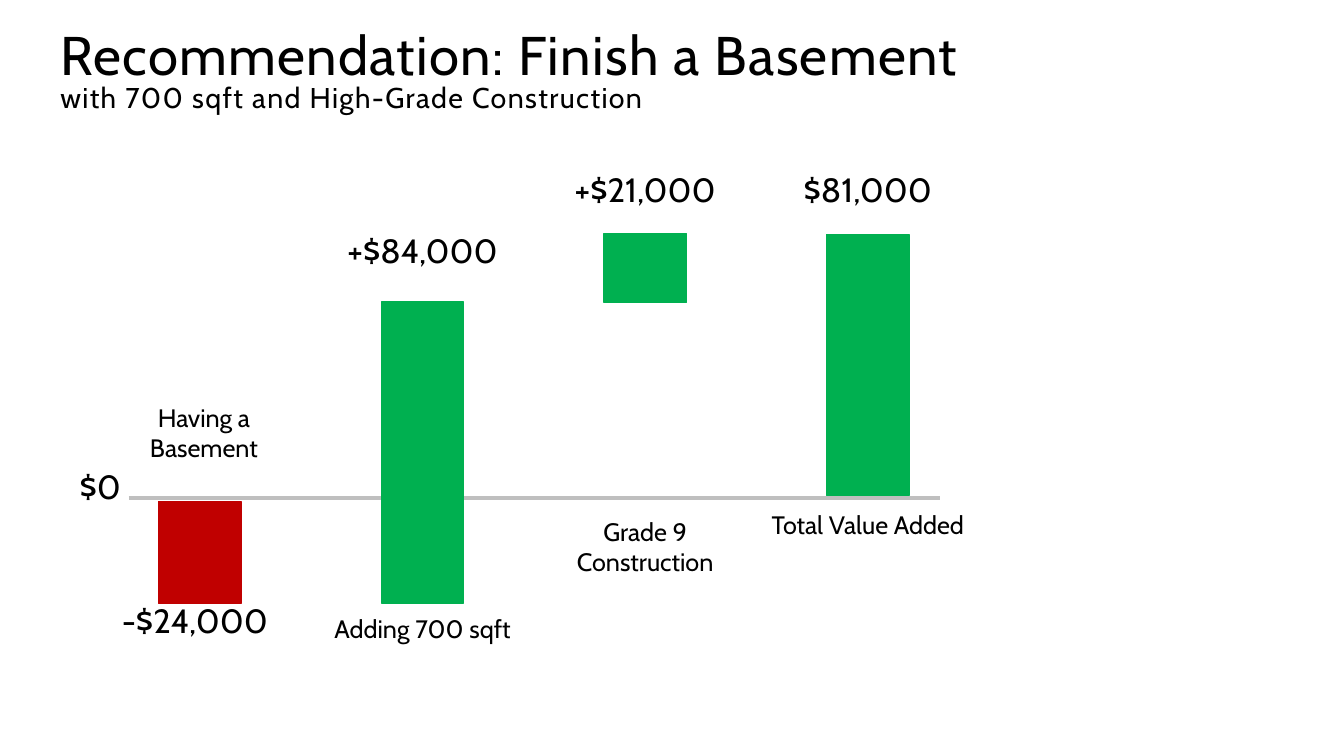
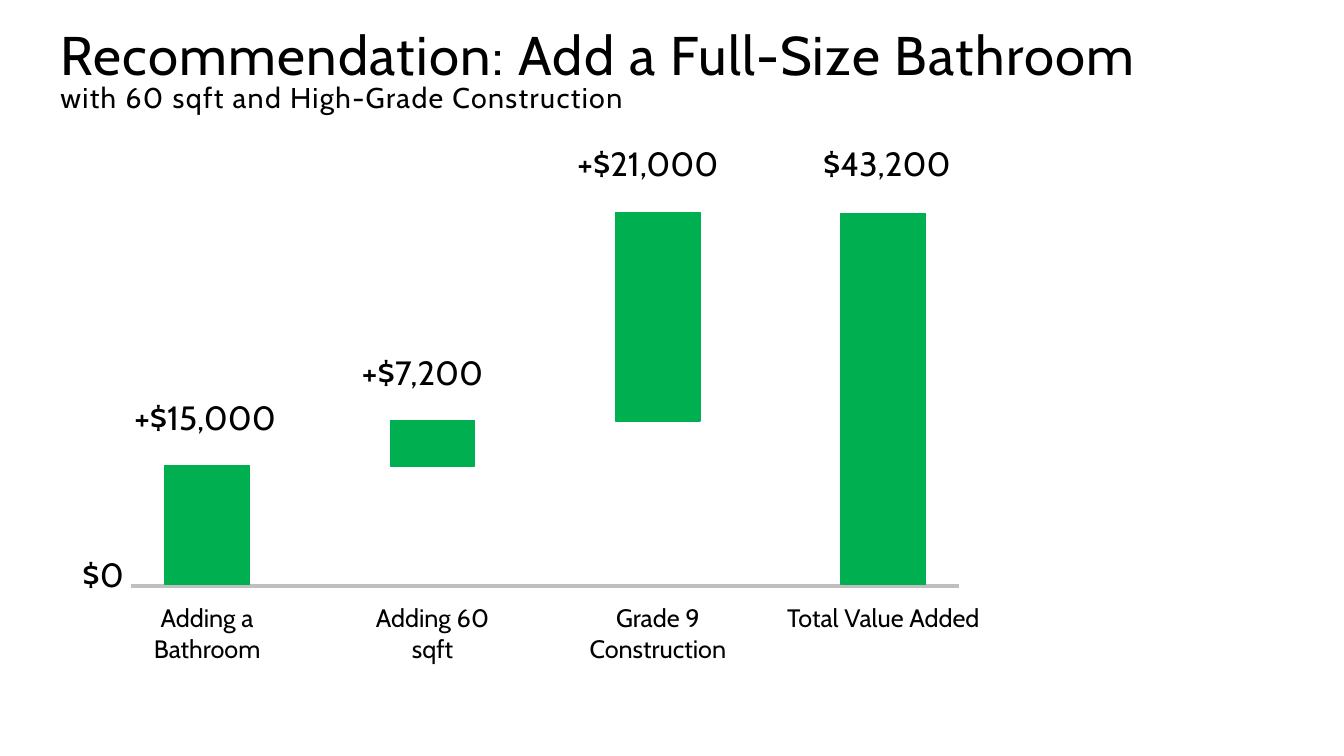
import pptx
import pptx.dml.color
import pptx.enum.shapes
import pptx.enum.text
import pptx.util
from dataclasses import dataclass
from lxml import etree

Cm, Pt = pptx.util.Cm, pptx.util.Pt
RGB = pptx.dml.color.RGBColor
ALIGN = pptx.enum.text.PP_ALIGN
ANCHOR = pptx.enum.text.MSO_ANCHOR


@dataclass(frozen=True)
class Theme:
    font: str = "Cabin"
    text: RGB = RGB(0x00, 0x00, 0x00)
    gain: RGB = RGB(0x00, 0xB0, 0x50)
    loss: RGB = RGB(0xC0, 0x00, 0x00)
    axis: RGB = RGB(0xBF, 0xBF, 0xBF)
    title: float = 38.9
    subtitle: float = 20.4
    value: float = 24
    label: float = 18


theme = Theme()
VALUE_W, LABEL_W, ZERO_W = 5.84, 5.5, 2

# Lengths in cm. Each bar: top, height, colour,
# value text, value top, value shift, label text, label top, label shift
slides = [
    dict(
        title="Recommendation: Finish a Basement",
        subtitle="with 700 sqft and High-Grade Construction",
        axis=(3.25, 23.7, 12.55), zero=2.53, first=5.04, step=5.61, bar_w=2.08,
        bars=[
            (12.64, 2.57, theme.loss, "-$24,000", 14.99, -0.13, "Having a Basement", 10.01, 0.1),
            (7.61, 7.59, theme.gain, "+$84,000", 5.66, 0, "Adding 700 sqft", 15.32, 0),
            (5.89, 1.73, theme.gain, "+$21,000", 4.14, 0, "Grade 9 Construction", 12.88, 0),
            (5.91, 6.58, theme.gain, "$81,000", 4.14, 0, "Total Value Added", 12.7, 0),
        ],
    ),
    dict(
        title="Recommendation: Add a Full-Size Bathroom",
        subtitle="with 60 sqft and High-Grade Construction",
        axis=(3.3, 24.16, 14.76), zero=2.6, first=5.22, step=5.68, bar_w=2.13,
        bars=[
            (11.73, 3, theme.gain, "+$15,000", 9.88, -0.05, "Adding a Bathroom", 15.06, 0),
            (10.6, 1.14, theme.gain, "+$7,200", 8.74, -0.25, "Adding 60\nsqft", 15.06, 0),
            (5.35, 5.26, theme.gain, "+$21,000", 3.48, -0.25, "Grade 9 Construction", 15.06, 0),
            (5.38, 9.35, theme.gain, "$43,200", 3.48, 0.09, "Total Value Added", 15.06, 0),
        ],
    ),
]


def add_text(s, x, y, w, h, text, sizes, align=ALIGN.CENTER):
    """Text box with one paragraph per line; the last size serves all further lines."""
    tf = s.shapes.add_textbox(Cm(x), Cm(y), Cm(w), Cm(h)).text_frame
    tf.word_wrap = True
    tf.text = text
    for i, p in enumerate(tf.paragraphs):
        p.alignment = align
        p.font.name = theme.font
        p.font.size = Pt(sizes[min(i, len(sizes) - 1)])
        p.font.color.rgb = theme.text
    return tf


prs = pptx.Presentation()
prs.slide_width, prs.slide_height = Cm(33.87), Cm(19.05)

for data in slides:
    s = prs.slides.add_slide(prs.slide_layouts[6])

    # Title and subtitle
    tf = add_text(s, 1.27, 0.53, 29.41, 2.46, data["title"] + "\n" + data["subtitle"],
                  (theme.title, theme.subtitle), ALIGN.LEFT)
    tf.vertical_anchor = ANCHOR.BOTTOM
    for p in tf.paragraphs:
        p.line_spacing = 0.8
        for r in p.runs:
            r.font._element.set("spc", "100")

    # Zero line
    left, right, y = data["axis"]
    line = s.shapes.add_connector(pptx.enum.shapes.MSO_CONNECTOR.STRAIGHT,
                                  Cm(left), Cm(y), Cm(right), Cm(y))
    line.line.color.rgb = theme.axis
    line.line.width = Pt(3)
    etree.SubElement(line._element.spPr, pptx.oxml.ns.qn("a:effectLst"))
    add_text(s, data["zero"] - ZERO_W / 2, y - 0.93, ZERO_W, 1.75, "$0", (theme.value,))

    # Waterfall bars with values and labels
    for i, bar in enumerate(data["bars"]):
        top, height, color, value, value_y, value_dx, label, label_y, label_dx = bar
        center = data["first"] + i * data["step"]
        sp = s.shapes.add_shape(pptx.enum.shapes.MSO_SHAPE.RECTANGLE,
                                Cm(center - data["bar_w"] / 2), Cm(top),
                                Cm(data["bar_w"]), Cm(height))
        sp.shadow.inherit = False
        sp.fill.solid()
        sp.fill.fore_color.rgb = color
        sp.line.color.rgb = color
        sp.line.width = Pt(1)
        add_text(s, center + value_dx - VALUE_W / 2, value_y, VALUE_W, 1.75,
                 value, (theme.value,))
        add_text(s, center + label_dx - LABEL_W / 2, label_y, LABEL_W, 2.45,
                 label, (theme.label,))

prs.save("out.pptx")
